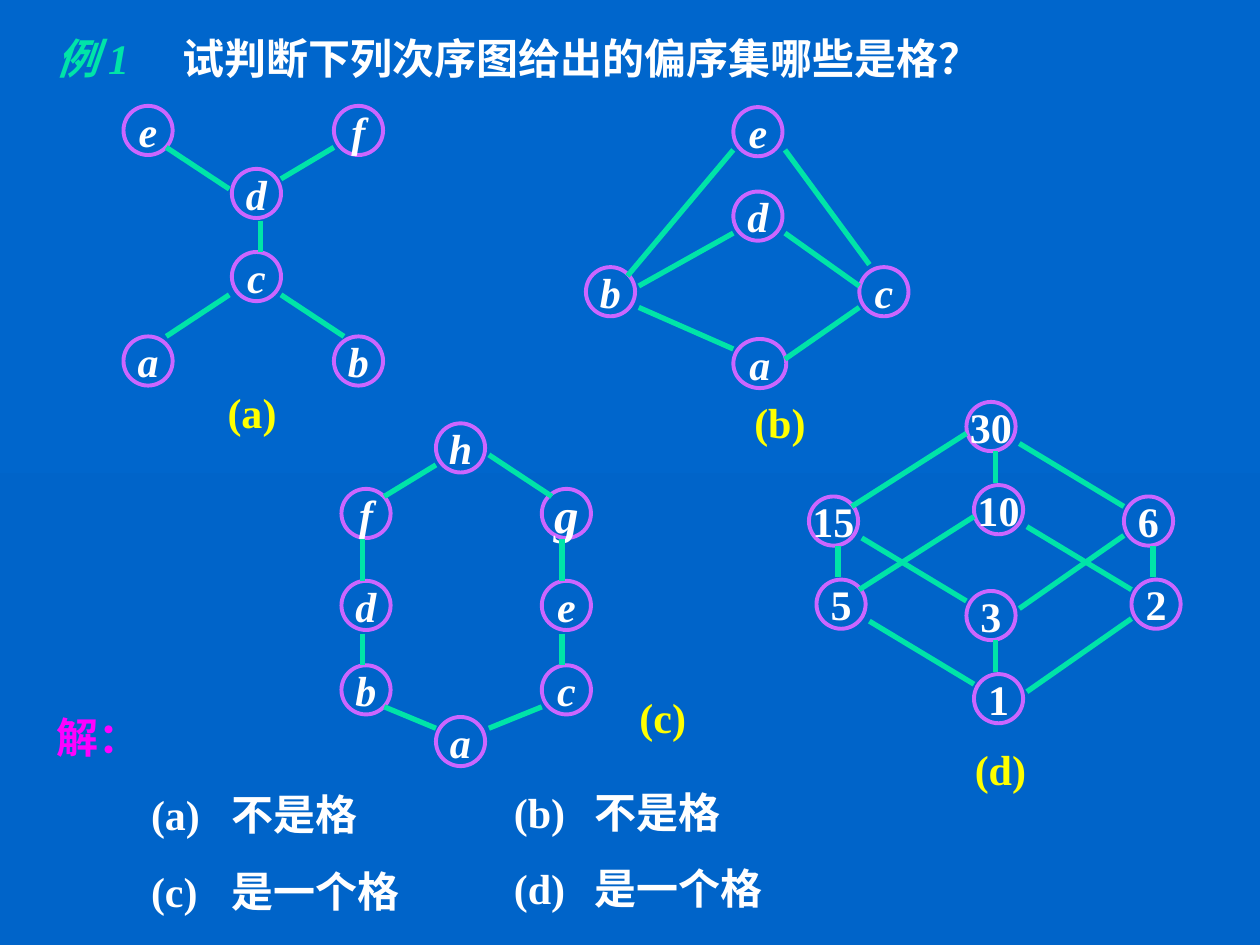
from lxml import etree
from pptx import Presentation
from pptx.dml.color import RGBColor
from pptx.enum.shapes import MSO_CONNECTOR, MSO_SHAPE
from pptx.enum.text import MSO_ANCHOR, PP_ALIGN
from pptx.oxml.ns import qn
from pptx.util import Inches, Pt

OVAL, STRAIGHT = MSO_SHAPE.OVAL, MSO_CONNECTOR.STRAIGHT
CENTER, LEFT, MIDDLE = PP_ALIGN.CENTER, PP_ALIGN.LEFT, MSO_ANCHOR.MIDDLE

THEME = {
    "font": "Times New Roman", "size": 24, "big": 28, "gap": 15,
    "top": "0066CC", "bottom": "0064C9", "white": "FFFFFF", "green": "00E4A8",
    "ring": "CC66FF", "caption": "FFFF00", "solution": "FF00FF",
    "ring_width": 2.25, "edge_width": 3,
}
NODE = 0.39
CAPTION_W, CAPTION_H = 0.92, 0.5

# A run is (text, colour, italic); a paragraph is (left margin, hanging part, runs).
TITLE = [(1.0, 1.0, [("例 1\t", "green", True),
                     ("试判断下列次序图给出的偏序集哪些是格？", "white", False)])]


def answers(margin, *pairs):
    return [(margin + 0.64, 0.64, [(f"{key}\t{verdict}", "white", False)])
            for key, verdict in pairs]


TEXTS = [
    ((0.35, 0.21, 8.08, 0.5), TITLE),
    ((0.35, 5.6, 3.15, 1.72),
     [(0, 0, [("解：", "solution", False)])]
     + answers(0.75, ("(a)", "不是格"), ("(c)", "是一个格"))),
    ((3.98, 6.19, 2.52, 1.11),
     answers(0, ("(b)", "不是格"), ("(d)", "是一个格"))),
]

# The fourth diagram is one rhombus drawn twice, plus uprights between the two.
RHOMBUS_NODES = [(7.67, 3.19), (6.42, 3.94), (8.92, 3.94), (7.67, 4.69)]
RHOMBUS_EDGES = [(8.09, 3.52, 8.92, 4.02), (6.84, 4.27, 7.67, 4.77),
                 (7.67, 3.44, 6.76, 4.02), (8.92, 4.25, 8.09, 4.83)]
RHOMBI = [(0, 0, ("30", "15", "6", "3")), (0.06, 0.66, ("10", "5", "2", "1"))]
UPRIGHTS = [(x, y, x, y + 0.25)
            for x, y in [(6.65, 4.33), (7.9, 5.08), (9.15, 4.33), (7.9, 3.58)]]

DIAGRAMS = [
    {"caption": ("(a)", 1.54, 3.02), "italic": True,
     "nodes": [("e", 0.98, 0.84), ("f", 2.65, 0.84), ("d", 1.84, 1.34),
               ("c", 1.84, 2.0), ("a", 0.98, 2.67), ("b", 2.65, 2.67)],
     "edges": [(1.32, 1.17, 1.82, 1.5), (2.65, 1.17, 2.23, 1.42),
               (2.07, 1.75, 2.07, 2.0), (1.82, 2.34, 1.32, 2.67),
               (2.23, 2.34, 2.73, 2.67)]},
    {"caption": ("(b)", 5.73, 3.1), "italic": True, "widths": {"a": 0.42},
     "nodes": [("e", 5.82, 0.85), ("d", 5.82, 1.52), ("b", 4.65, 2.12),
               ("c", 6.82, 2.12), ("a", 5.82, 2.69)],
     "edges": [(5.82, 1.19, 4.98, 2.19), (6.23, 1.19, 6.9, 2.1),
               (5.07, 2.27, 5.82, 1.85), (6.23, 1.85, 6.82, 2.27),
               (5.07, 2.44, 5.82, 2.77), (6.82, 2.44, 6.23, 2.85)]},
    {"caption": ("(c)", 4.8, 5.44), "italic": True, "sizes": {"g": THEME["big"]},
     "nodes": [("f", 2.71, 3.88), ("h", 3.46, 3.36), ("g", 4.3, 3.88),
               ("d", 2.71, 4.61), ("e", 4.3, 4.61), ("b", 2.71, 5.28),
               ("c", 4.3, 5.28), ("a", 3.46, 5.69)],
     "edges": [(3.46, 3.69, 3.05, 3.94), (3.88, 3.61, 4.38, 3.94),
               (3.05, 5.61, 3.46, 5.78), (4.3, 5.61, 3.88, 5.78)]
     + [(x, y, x, end) for x in (2.88, 4.46)
        for y, end in [(4.28, 4.61), (5.03, 5.28)]]},
    {"caption": ("(d)", 7.48, 5.85), "italic": False,
     "nodes": [(name, x + dx, y + dy) for dx, dy, names in RHOMBI
               for name, (x, y) in zip(names, RHOMBUS_NODES)],
     "edges": [(x1 + dx, y1 + dy, x2 + dx, y2 + dy) for dx, dy, _ in RHOMBI
               for x1, y1, x2, y2 in RHOMBUS_EDGES] + UPRIGHTS},
]


def color(name):
    return RGBColor.from_string(THEME[name])


def inches(*values):
    return [Inches(v) for v in values]


def add_run(p, text, tone, italic=False, size=THEME["size"]):
    r = p.add_run()
    r.text = text
    look = {"name": THEME["font"], "size": Pt(size), "bold": True, "italic": italic}
    for key, value in look.items():
        setattr(r.font, key, value)
    r.font.color.rgb = color(tone)


def add_text(shapes, box, paragraphs, align=LEFT):
    tf = shapes.add_textbox(*inches(*box)).text_frame
    tf.word_wrap = True
    for i, (margin, hanging, runs) in enumerate(paragraphs):
        p = tf.add_paragraph() if i else tf.paragraphs[0]
        p.alignment = align
        if i:
            p.space_before = Pt(THEME["gap"])
        if hanging:
            pPr = p._p.get_or_add_pPr()
            pPr.set("marL", str(Inches(margin)))
            pPr.set("indent", str(-Inches(hanging)))
        for run in runs:
            add_run(p, *run)


def add_node(shapes, name, x, y, width, italic, size):
    sp = shapes.add_shape(OVAL, *inches(x, y, width, NODE))
    sp.shadow.inherit = False
    sp.fill.background()
    sp.line.color.rgb = color("ring")
    sp.line.width = Pt(THEME["ring_width"])
    tf = sp.text_frame
    tf.word_wrap = False
    tf.vertical_anchor = MIDDLE
    p = tf.paragraphs[0]
    p.alignment = CENTER
    add_run(p, name, "white", italic, size)


def add_edge(shapes, ends):
    edge = shapes.add_connector(STRAIGHT, *inches(*ends))
    edge.line.color.rgb = color("green")
    edge.line.width = Pt(THEME["edge_width"])
    etree.SubElement(edge._element.spPr, qn("a:effectLst"))


def add_diagram(s, diagram):
    shapes = s.shapes.add_group_shape().shapes
    for name, x, y in diagram["nodes"]:
        add_node(shapes, name, x, y, diagram.get("widths", {}).get(name, NODE),
                 diagram["italic"], diagram.get("sizes", {}).get(name, THEME["size"]))
    for ends in diagram["edges"]:
        add_edge(shapes, ends)
    label, x, y = diagram["caption"]
    add_text(shapes, (x, y, CAPTION_W, CAPTION_H),
             [(0, 0, [(label, "caption")])], CENTER)


def main():
    prs = Presentation()
    prs.slide_width, prs.slide_height = inches(10, 7.5)
    s = prs.slides.add_slide(prs.slide_layouts[6])
    fill = s.background.fill
    fill.gradient()
    fill.gradient_angle = 270
    for stop, name in zip(fill.gradient_stops, ("top", "bottom")):
        stop.color.rgb = color(name)
    for box, paragraphs in TEXTS:
        add_text(s.shapes, box, paragraphs)
    for diagram in DIAGRAMS:
        add_diagram(s, diagram)
    prs.save("out.pptx")


if __name__ == "__main__":
    main()
